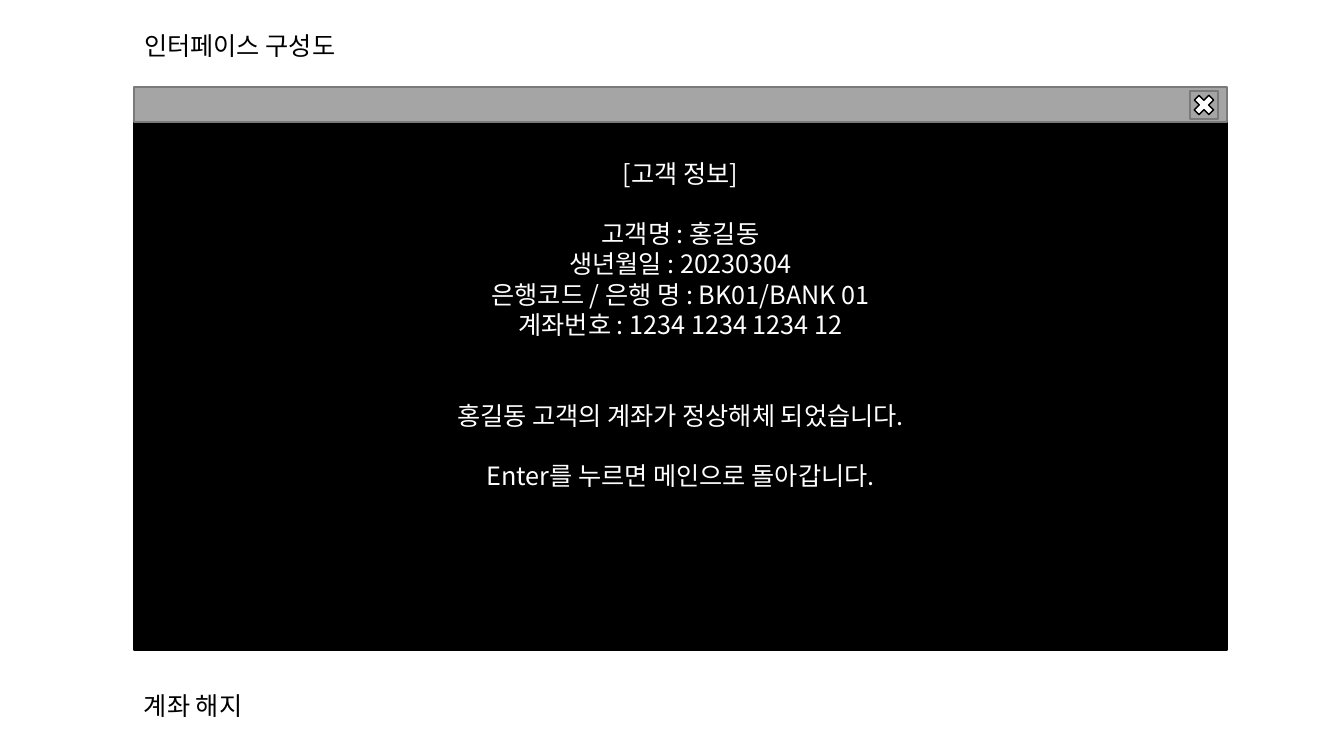
from lxml import etree
from pptx import Presentation
from pptx.dml.color import RGBColor
from pptx.enum.shapes import MSO_SHAPE
from pptx.enum.text import MSO_ANCHOR, MSO_AUTO_SIZE, PP_ALIGN
from pptx.oxml.ns import qn
from pptx.util import Pt

PIXEL = 914400 / 100.8
FONT = "Noto Sans CJK KR"
LINE_HEIGHT = 21.6
TITLE_ONLY = 5
RECTANGLE = MSO_SHAPE.RECTANGLE
PROCESS = MSO_SHAPE.FLOWCHART_PROCESS
MULTIPLY = MSO_SHAPE.MATH_MULTIPLY
TOP = MSO_ANCHOR.TOP
NO_AUTOFIT = MSO_AUTO_SIZE.NONE
LEFT, CENTER = PP_ALIGN.LEFT, PP_ALIGN.CENTER
COLORS = {"black": "000000", "white": "FFFFFF", "bar": "A5A5A5", "bar_line": "7A7A7A"}
MESSAGE_LINES = [
    ("[고객 정보]", 0),
    ("고객명 : 홍길동", 1),
    ("생년월일 : 20230304", 0),
    ("은행코드 / 은행 명 : BK01/BANK 01", 0),
    ("계좌번호 : 1234 1234 1234 12", 0),
    ("홍길동 고객의 계좌가 정상해체 되었습니다.", 2),
    ("Enter를 누르면 메인으로 돌아갑니다.", 1),
]


def emu(pixels):
    """Convert pixels to EMU."""
    return round(pixels * PIXEL)


def color(name):
    """Look up a named colour."""
    return RGBColor.from_string(COLORS[name])


def write(paragraph, text, ink="black", align=LEFT, gap_lines=0):
    """Fill a paragraph with formatted text, after a gap counted in lines."""
    paragraph.alignment = align
    paragraph.line_spacing = Pt(LINE_HEIGHT)
    paragraph.space_before = Pt(gap_lines * LINE_HEIGHT)
    run = paragraph.add_run()
    run.text = text
    run.font.size = Pt(18)
    run.font.name = FONT
    run.font.color.rgb = color(ink)
    east_asian = etree.SubElement(run.font._element, qn("a:ea"))
    east_asian.set("typeface", FONT)


def add_box(slide, kind, box, fill, line):
    """Add a filled and outlined preset shape."""
    shape = slide.shapes.add_shape(kind, *map(emu, box))
    shape.shadow.inherit = False
    shape.fill.solid()
    shape.fill.fore_color.rgb = color(fill)
    shape.line.color.rgb = color(line)
    shape.line.width = Pt(1)
    return shape


def format_label(shape, box, text):
    """Place a single-line label in its box."""
    shape.left, shape.top, shape.width, shape.height = map(emu, box)
    frame = shape.text_frame
    frame.auto_size = NO_AUTOFIT
    frame.word_wrap = False
    frame.vertical_anchor = TOP
    write(frame.paragraphs[0], text)


def add_message(slide, box):
    """Add the black console area with its centred lines."""
    frame = add_box(slide, RECTANGLE, box, "black", "black").text_frame
    frame.word_wrap = True
    frame.vertical_anchor = TOP
    frame.margin_top = emu(36)
    for index, (text, gap_lines) in enumerate(MESSAGE_LINES):
        paragraph = frame.add_paragraph() if index else frame.paragraphs[0]
        write(paragraph, text, ink="white", align=CENTER, gap_lines=gap_lines)


def add_window(slide, box):
    """Add the console window: message area, title bar and close button."""
    left, top, width, height = box
    bar_height, button_size = 35, 28
    add_message(slide, (left, top + bar_height, width, height - bar_height))
    add_box(slide, RECTANGLE, (left, top, width, bar_height), "bar", "bar_line")
    button = (left + width - button_size - 9, top + 4, button_size, button_size)
    add_box(slide, PROCESS, button, "bar", "bar_line")
    add_box(slide, MULTIPLY, button, "white", "black")


def build():
    """Build and save the slide."""
    presentation = Presentation()
    presentation.slide_width, presentation.slide_height = emu(1344), emu(756)
    slide = presentation.slides.add_slide(presentation.slide_layouts[TITLE_ONLY])
    format_label(slide.shapes.title, (134, 25, 233, 40), "인터페이스 구성도")
    add_window(slide, (134, 87, 1093, 563))
    caption = slide.shapes.add_textbox(0, 0, 0, 0)
    format_label(caption, (134, 685, 131, 40), "계좌 해지")
    presentation.save("out.pptx")


build()
